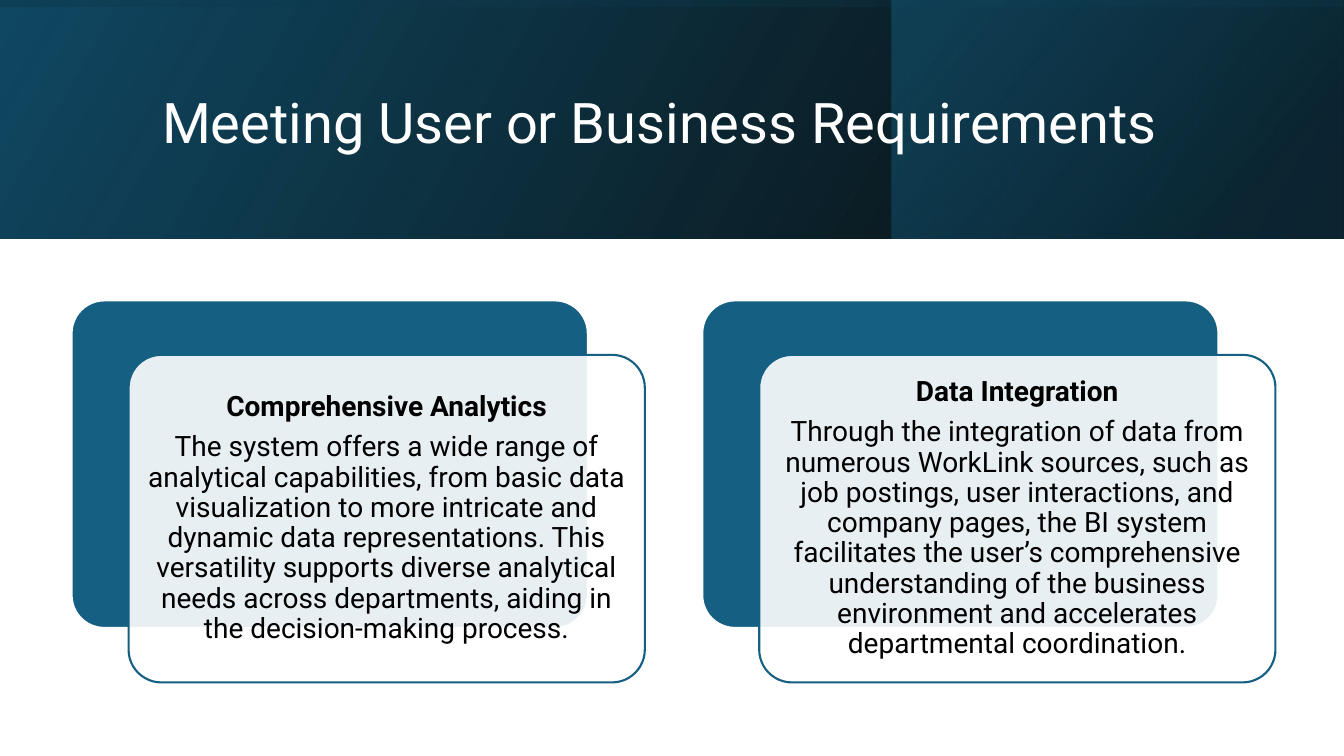
from lxml import etree
from pptx import Presentation
from pptx.dml.color import RGBColor
from pptx.enum import shapes, text
from pptx.oxml import ns
from pptx.util import Inches, Pt

COLOURS = {"blue": "156082", "deep": "104862", "navy": "0B3041",
           "black": "000000", "white": "FFFFFF"}
FONT = "Roboto"
PAGE_WIDTH, PAGE_HEIGHT = 13.33, 7.5
BAND_HEIGHT = 2.37
CARD_WIDTH, CARD_HEIGHT = 5.12, 3.25
CARD_LEFT, CARD_TOP, CARD_PITCH = 0.71, 2.98, 6.255
CARDS = [
    ("Comprehensive Analytics",
     "The system offers a wide range of analytical capabilities, from basic data "
     "visualization to more intricate and dynamic data representations. This "
     "versatility supports diverse analytical needs across departments, aiding in "
     "the decision-making process."),
    ("Data Integration",
     "Through the integration of data from numerous WorkLink sources, such as job "
     "postings, user interactions, and company pages, the BI system facilitates the "
     "user’s comprehensive understanding of the business environment and "
     "accelerates departmental coordination."),
]


def colour(name):
    return RGBColor.from_string(COLOURS[name])


def add_colour(parent, name, opacity):
    """Append an sRGB colour with an opacity in percent."""
    tone = etree.SubElement(parent, ns.qn("a:srgbClr"), val=COLOURS[name])
    if opacity < 100:
        etree.SubElement(tone, ns.qn("a:alpha"), val=str(opacity * 1000))


def add_shape(page, kind, box):
    shape = page.shapes.add_shape(kind, *map(Inches, box))
    shape.shadow.inherit = False
    return shape


def add_gradient(page, box, stops, angle, rotation=0):
    """Add a mirrored, borderless rectangle; stops are (position, colour, opacity)."""
    layer = add_shape(page, shapes.MSO_SHAPE.RECTANGLE, box)
    layer.rotation = rotation
    layer.line.fill.background()
    layer.fill.gradient()
    properties = layer._element.spPr
    properties.find(ns.qn("a:xfrm")).set("flipH", "1")
    gradient = properties.find(ns.qn("a:gradFill"))
    for child in list(gradient):
        gradient.remove(child)
    stop_list = etree.SubElement(gradient, ns.qn("a:gsLst"))
    for position, name, opacity in stops:
        stop = etree.SubElement(stop_list, ns.qn("a:gs"), pos=str(position * 1000))
        add_colour(stop, name, opacity)
    etree.SubElement(gradient, ns.qn("a:lin"), ang=str(angle * 60000), scaled="0")


def add_text(page, box, lines, size, tone, inset=None):
    """Add a middle-anchored text box and return its paragraphs."""
    frame = page.shapes.add_textbox(*map(Inches, box)).text_frame
    frame.word_wrap = True
    frame.vertical_anchor = text.MSO_ANCHOR.MIDDLE
    if inset is not None:
        frame.margin_left = frame.margin_right = Inches(inset)
        frame.margin_top = frame.margin_bottom = Inches(inset)
    frame.text = "\n".join(lines)
    for para in frame.paragraphs:
        para.line_spacing = 0.9
        para.font.name = FONT
        para.font.size = Pt(size)
        para.font.color.rgb = colour(tone)
    return frame.paragraphs


def add_header(page, left, top, width, height):
    add_gradient(page, (left, top, width, height),
                 [(0, "black", 96), (100, "deep", 100)], 330)
    side = 4.48
    add_gradient(page, (left + width - side - 0.01, top, side, height),
                 [(19, "navy", 68), (100, "blue", 48)], 320)
    shift = (width - height) / 2
    add_gradient(page, (left + shift, top - shift, height, width),
                 [(23, "deep", 16), (99, "black", 45)], 350, rotation=270)
    add_text(page, (left + 1.51, top + 0.38, 10.63, 1.72),
             ["Meeting User or Business Requirements"], 40, "white")


def add_panel(page, box, fill, line):
    panel = add_shape(page, shapes.MSO_SHAPE.ROUNDED_RECTANGLE, box)
    panel.adjustments[0] = 0.1
    panel.fill.solid()
    panel.fill.fore_color.rgb = colour(fill)
    panel.line.color.rgb = colour(line)
    panel.line.width = Pt(1.5)
    return panel


def add_card(page, left, top, width, height, heading, body):
    """Add a blue panel, a translucent white one offset over it, and the text."""
    add_panel(page, (left, top, width, height), "blue", "white")
    left, top = left + 0.565, top + 0.54
    front = add_panel(page, (left, top, width, height), "white", "blue")
    solid = front._element.spPr.find(ns.qn("a:solidFill"))
    solid.remove(solid[0])
    add_colour(solid, "white", 90)
    pad = 0.095
    paras = add_text(page, (left + pad, top + pad, width - 2 * pad, height - 2 * pad),
                     [heading, body], 20, "black", inset=0.08)
    for para in paras:
        para.alignment = text.PP_ALIGN.CENTER
        para.space_after = Pt(7)
    paras[0].font.bold = True


def main():
    deck = Presentation()
    deck.slide_width, deck.slide_height = Inches(PAGE_WIDTH), Inches(PAGE_HEIGHT)
    page = deck.slides.add_slide(deck.slide_layouts[6])
    add_header(page, 0, 0, PAGE_WIDTH, BAND_HEIGHT)
    for index, (heading, body) in enumerate(CARDS):
        add_card(page, CARD_LEFT + index * CARD_PITCH, CARD_TOP,
                 CARD_WIDTH, CARD_HEIGHT, heading, body)
    deck.save("out.pptx")


if __name__ == "__main__":
    main()
